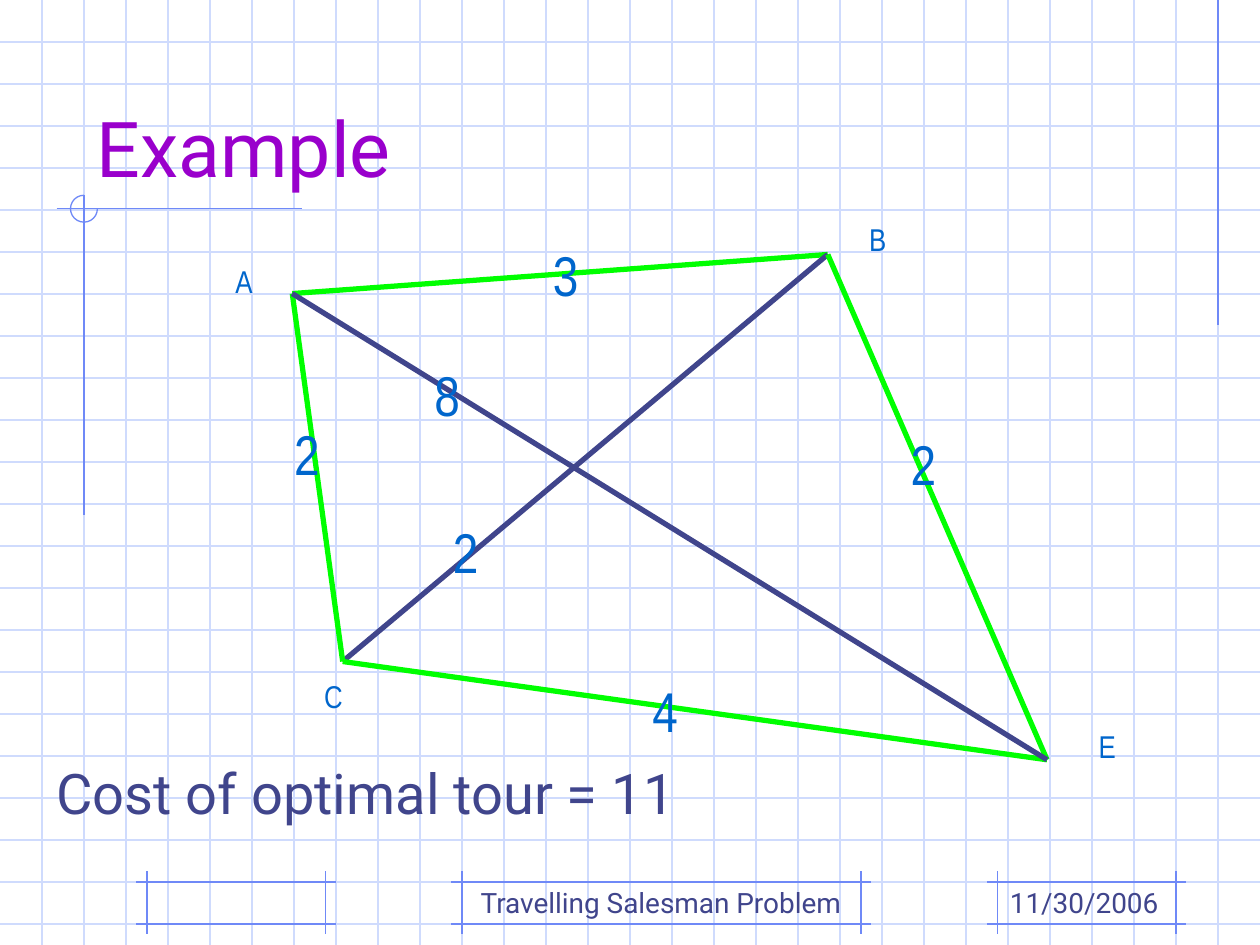
from lxml.etree import SubElement
from pptx import Presentation
from pptx.dml.color import RGBColor
from pptx.enum.shapes import MSO_CONNECTOR, MSO_SHAPE
from pptx.enum.text import MSO_ANCHOR, PP_ALIGN
from pptx.oxml.ns import qn
from pptx.util import Inches, Pt

CELL = 1 / 3
COLS, ROWS = 30, 22.5
PALE, BLUE, NAVY, GREEN = "CFDBFD", "6F89F7", "40458C", "00FF00"
LABEL = {"name": "Arial Narrow", "color": "0066CC"}
BODY = {"name": "Roboto", "color": NAVY}

NODES = {"A": (0, 0.93), "B": (12.75, 0), "C": (1.2, 9.69), "E": (17.97, 12.03)}
NAMES = {"A": (-1.15, 0.95), "B": (13.94, -0.03), "C": (0.98, 10.83), "E": (19.4, 12.03)}
EDGES = [
    ("AB", "3", GREEN, (6.27, 0.35)),
    ("BC", "2", NAVY, (3.89, 6.95)),
    ("AC", "2", GREEN, (0.11, 4.61)),
    ("BE", "2", GREEN, (14.79, 4.85)),
    ("CE", "4", GREEN, (8.64, 10.73)),
    ("AE", "8", NAVY, (3.45, 3.2)),
]


def color(code):
    """Turn a hex string into a colour."""
    return RGBColor.from_string(code)


def size(count):
    """Turn a count of grid cells into a length."""
    return Inches(count * CELL)


def line(slide, start, end, code, width=0.75):
    """Draw a plain line between two grid points."""
    rule = slide.shapes.add_connector(MSO_CONNECTOR.STRAIGHT, *map(size, (*start, *end)))
    rule.line.color.rgb = color(code)
    rule.line.width = Pt(width)
    SubElement(rule._element.spPr, qn("a:effectLst"))


def style(shape, text, points, look, frame=None, para=None):
    """Write text in a shape and apply its format values."""
    body = shape.text_frame
    body.text = text
    first = body.paragraphs[0]
    font = first.runs[0].font
    font.color.rgb = color(look["color"])
    groups = (
        (font, {"name": look["name"], "size": Pt(points)}),
        (body, {"word_wrap": True, **(frame or {})}),
        (first, {"alignment": PP_ALIGN.LEFT, **(para or {})}),
    )
    for item, values in groups:
        for key, value in values.items():
            setattr(item, key, value)


def write(slide, box, text, points, look, frame=None, para=None):
    """Add a text box on the grid."""
    shape = slide.shapes.add_textbox(*map(size, box))
    style(shape, text, points, look, frame, para)


def label(slide, spot, box, text, points):
    """Centre a short label of the given box size on a spot."""
    (x, y), (wide, high) = spot, box
    write(slide, (x - wide / 2, y - high / 2, wide, high), text, points, LABEL,
          {"word_wrap": False}, {"alignment": PP_ALIGN.CENTER})


def paper(slide, box):
    """Rule the box as squared paper."""
    x, y, wide, high = box
    for row in range(1, int(high) + 1):
        line(slide, (x, y + row), (x + wide, y + row), PALE)
    for col in range(1, int(wide)):
        line(slide, (x + col, y), (x + col, y + high), PALE)


def panel(slide, box, text="", shift=0):
    """Draw a footer frame with crossing corners and its text."""
    x, y, wide, high = box
    over = 0.25
    for row in (y, y + high):
        line(slide, (x - over, row), (x + wide + over, row), BLUE)
    for col in (x, x + wide):
        line(slide, (col, y - over), (col, y + high + over), BLUE)
    if text:
        write(slide, (x + shift, y - 0.06, wide, 1.11), text, 16, BODY)


def cross(slide, box):
    """Draw the cross lines and the open arc around their meeting point."""
    x, y, wide, high = box
    mid, rise, ray = x + 0.65, y + 0.32, 0.32
    line(slide, (x, rise), (x + wide, rise), BLUE)
    line(slide, (mid, y), (mid, y + high), BLUE)
    arc = slide.shapes.add_shape(
        MSO_SHAPE.ARC, *map(size, (mid - ray, rise - ray, 2 * ray, 2 * ray)))
    arc.adjustments[0], arc.adjustments[1] = 0, 162
    arc.shadow.inherit = False
    arc.fill.background()
    arc.line.color.rgb = color(BLUE)
    arc.line.width = Pt(0.75)


def head(slide, box, text):
    """Place the title above the ruled paper."""
    title = slide.shapes.title
    for key, value in zip(("left", "top", "width", "height"), box):
        setattr(title, key, size(value))
    style(title, text, 44, {"name": "Roboto", "color": "9900CC"},
          {"vertical_anchor": MSO_ANCHOR.BOTTOM})
    slide.shapes._spTree.append(title._element)


def graph(slide, box):
    """Draw the weighted graph from the corner of the box."""
    x, y = box[:2]

    def place(spot):
        """Move a spot into the box."""
        return x + spot[0], y + spot[1]

    for (start, end), _, code, _ in EDGES:
        line(slide, place(NODES[start]), place(NODES[end]), code, 3)
    for _, cost, _, spot in EDGES:
        label(slide, place(spot), (0.72, 1.65), cost, 32)
    for name, spot in NAMES.items():
        label(slide, place(spot), (1.47, 1.86), name, 18)


def main():
    """Build the slide and save it."""
    deck = Presentation()
    deck.slide_width, deck.slide_height = size(COLS), size(ROWS)
    slide = deck.slides.add_slide(deck.slide_layouts[5])
    paper(slide, (0, 0, COLS, ROWS))
    panel(slide, (11, 21, 9.5, 1), "Travelling Salesman Problem", 0.15)
    panel(slide, (23.75, 21, 4.25, 1), "11/30/2006")
    panel(slide, (3.5, 21, 4.25, 1))
    line(slide, (29, 0), (29, 7.75), BLUE)
    cross(slide, (1.35, 4.65, 5.85, 7.62))
    head(slide, (2, 1, 25.5, 3.75), "Example")
    graph(slide, (6.96, 6.06, 17.97, 12.03))
    write(slide, (1.05, 18.09, 19.38, 1.89), "Cost of optimal tour = 11", 32, BODY,
          para={"line_spacing": 0.9})
    deck.save("out.pptx")


if __name__ == "__main__":
    main()
